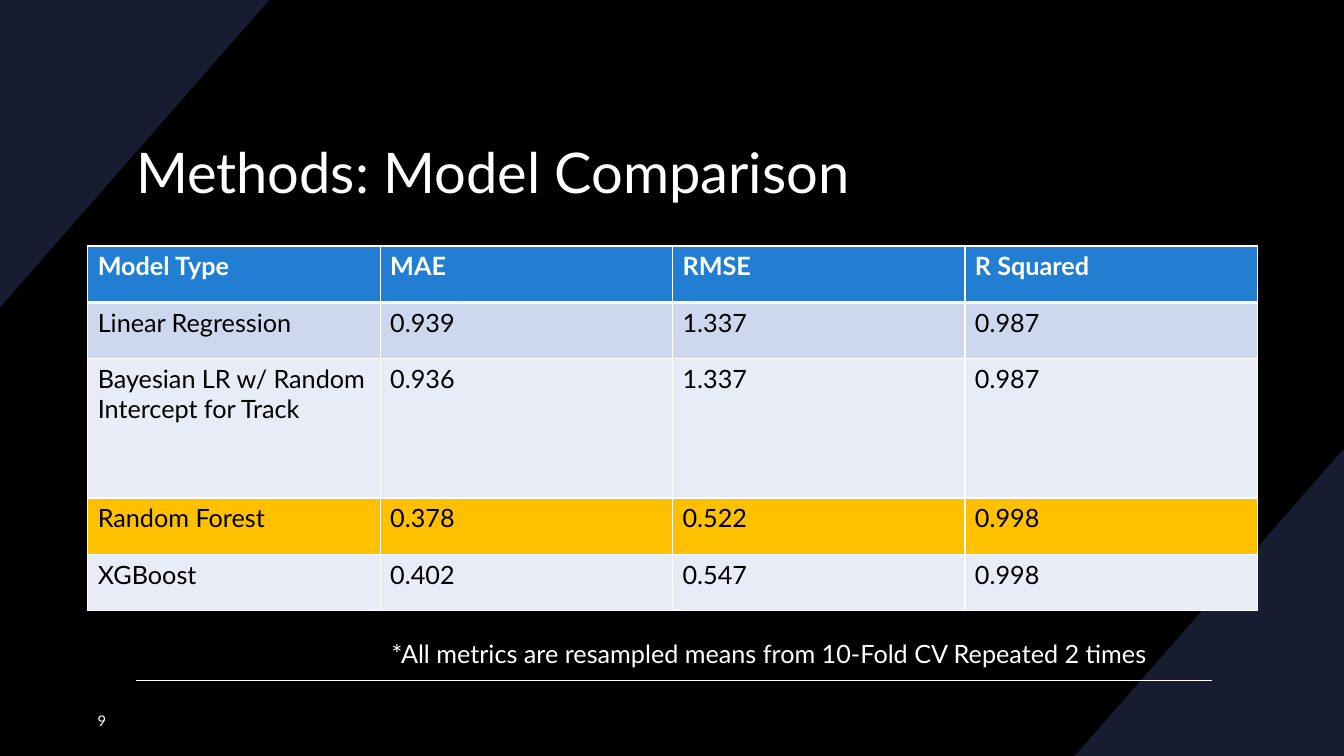
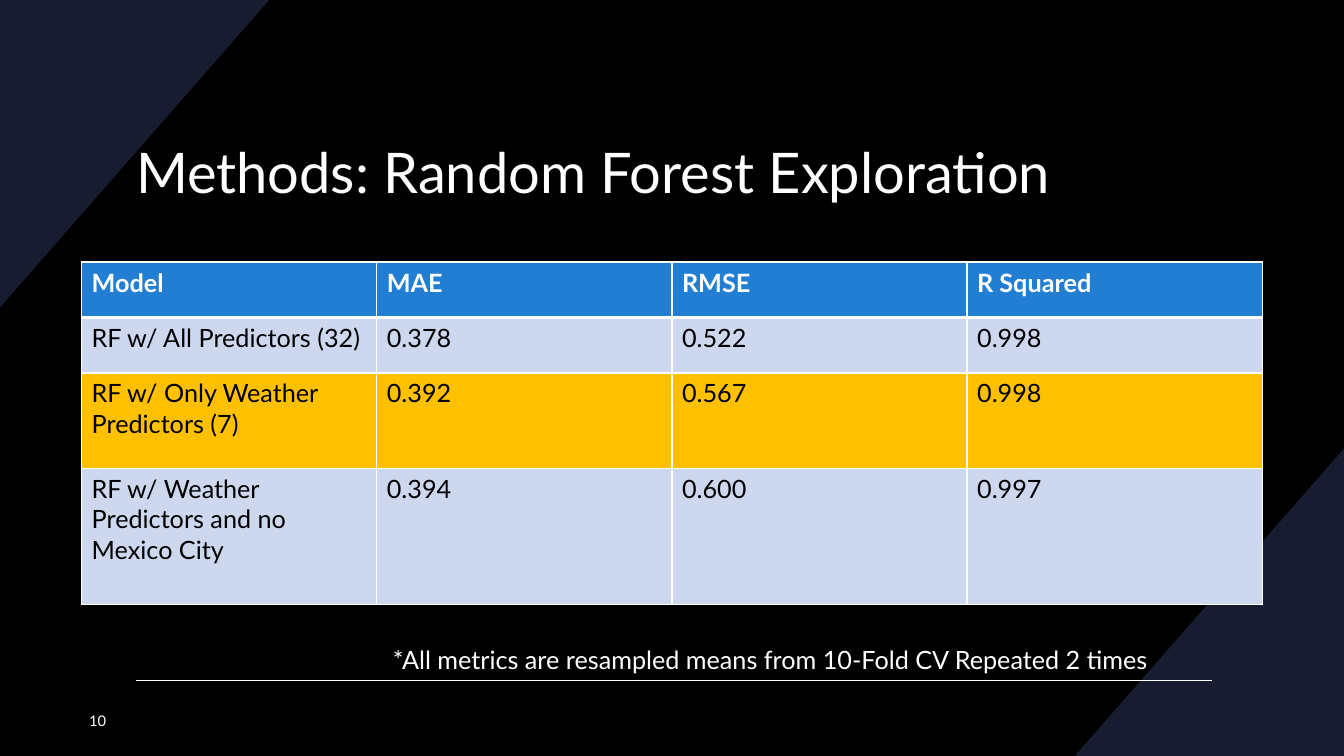
"""Build two model comparison slides with highlighted result tables."""
from dataclasses import dataclass

from lxml import etree
from pptx import Presentation
from pptx.dml.color import RGBColor
from pptx.enum.shapes import MSO_CONNECTOR
from pptx.enum.text import MSO_ANCHOR as Anchor, MSO_AUTO_SIZE as AutoSize, PP_ALIGN as Align
from pptx.oxml.ns import qn
from pptx.util import Inches, Pt


@dataclass(frozen=True)
class Theme:
    font: str = "Lato"
    background: str = "000000"
    corner: str = "181C30"
    light_text: str = "FFFFFF"
    dark_text: str = "000000"
    rule: str = "FFFFFF"
    header: str = "217ED3"
    band_odd: str = "CDD8EF"
    band_even: str = "E8ECF7"
    highlight: str = "FFC000"
    title_size: float = 40
    body_size: float = 18
    number_size: float = 10.5


@dataclass(frozen=True)
class Box:
    left: float
    top: float
    width: float
    height: float

    def emu(self) -> tuple:
        return tuple(Inches(v) for v in (self.left, self.top, self.width, self.height))


@dataclass(frozen=True)
class ResultSlide:
    title: str
    number: int
    table: Box
    row_heights: tuple
    rows: tuple
    best_row: int
    note: Box


THEME = Theme()
WIDTH, HEIGHT = 13.33, 7.5
CORNER_W, CORNER_H = 2.67, 3.05
TITLE_BOX = Box(1.25, 0.95, 10.83, 1.49)
NUMBER_BOX = Box(0.47, 6.95, 0.68, 0.4)
NOTE = "*All metrics are resampled means from 10-Fold CV Repeated 2 times"
METRICS = ("MAE", "RMSE", "R Squared")

SLIDES = (
    ResultSlide(
        title="Methods: Model Comparison",
        number=9,
        table=Box(0.87, 2.44, 11.6, 3.62),
        row_heights=(0.56, 0.56, 1.38, 0.56, 0.56),
        rows=(
            ("Model Type", *METRICS),
            ("Linear Regression", "0.939", "1.337", "0.987"),
            ("Bayesian LR w/ Random Intercept for Track", "0.936", "1.337", "0.987"),
            ("Random Forest", "0.378", "0.522", "0.998"),
            ("XGBoost", "0.402", "0.547", "0.998"),
        ),
        best_row=3,
        note=Box(2.81, 6.28, 8.66, 0.4),
    ),
    ResultSlide(
        title="Methods: Random Forest Exploration",
        number=10,
        table=Box(0.81, 2.6, 11.71, 3.4),
        row_heights=(0.55, 0.55, 0.95, 1.35),
        rows=(
            ("Model", *METRICS),
            ("RF w/ All Predictors (32)", "0.378", "0.522", "0.998"),
            ("RF w/ Only Weather Predictors (7)", "0.392", "0.567", "0.998"),
            ("RF w/ Weather Predictors and no Mexico City", "0.394", "0.600", "0.997"),
        ),
        best_row=2,
        note=Box(2.94, 6.34, 8.54, 0.4),
    ),
)


def rgb(color: str) -> RGBColor:
    return RGBColor.from_string(color)


def write(tf, text: str, size: float, color: str, align=Align.LEFT, bold: bool = False) -> None:
    p = tf.paragraphs[0]
    p.alignment = align
    r = p.add_run()
    r.text = text
    r.font.name = THEME.font
    r.font.size = Pt(size)
    r.font.bold = bold
    r.font.color.rgb = rgb(color)


def add_corner(slide, points: tuple):
    start, *rest = [(Inches(x), Inches(y)) for x, y in points]
    builder = slide.shapes.build_freeform(*start)
    builder.add_line_segments(rest, close=True)
    sp = builder.convert_to_shape()
    sp.shadow.inherit = False
    sp.fill.solid()
    sp.fill.fore_color.rgb = rgb(THEME.corner)
    sp.line.fill.background()
    return sp


def add_rule(slide):
    line = slide.shapes.add_connector(
        MSO_CONNECTOR.STRAIGHT, Inches(1.35), Inches(6.75), Inches(12.02), Inches(6.75))
    line.line.color.rgb = rgb(THEME.rule)
    line.line.width = Pt(1)
    etree.SubElement(line.element.spPr, qn("a:effectLst"))
    return line


def decorate_layout(layout, slide) -> None:
    """Draw the shared decoration on a slide and move it to its layout."""
    layout.background.fill.solid()
    layout.background.fill.fore_color.rgb = rgb(THEME.background)
    decoration = (
        add_corner(slide, ((WIDTH, HEIGHT - CORNER_H), (WIDTH, HEIGHT), (WIDTH - CORNER_W, HEIGHT))),
        add_corner(slide, ((0, CORNER_H), (0, 0), (CORNER_W, 0))),
        add_rule(slide),
    )
    for sp in decoration:
        layout.shapes.element.append(sp.element)


def format_title(slide, text: str) -> None:
    title = slide.shapes.title
    title.left, title.top, title.width, title.height = TITLE_BOX.emu()
    tf = title.text_frame
    tf.word_wrap = True
    tf.auto_size = AutoSize.NONE
    tf.vertical_anchor = Anchor.MIDDLE
    write(tf, text, THEME.title_size, THEME.light_text)


def add_right_text(slide, box: Box, text: str, size: float, anchor=Anchor.TOP) -> None:
    tf = slide.shapes.add_textbox(*box.emu()).text_frame
    tf.word_wrap = True
    tf.vertical_anchor = anchor
    write(tf, text, size, THEME.light_text, Align.RIGHT)


def set_borders(cell, top: float, bottom: float) -> None:
    tc_pr = cell._tc.get_or_add_tcPr()
    widths = {"a:lnL": 1, "a:lnR": 1, "a:lnT": top, "a:lnB": bottom}
    for i, (tag, width) in enumerate(widths.items()):
        ln = etree.Element(qn(tag), w=str(Pt(width)))
        fill = etree.SubElement(ln, qn("a:solidFill"))
        etree.SubElement(fill, qn("a:srgbClr"), val=THEME.rule)
        tc_pr.insert(i, ln)


def row_color(row: int, best_row: int) -> str:
    if row == 0:
        return THEME.header
    if row == best_row:
        return THEME.highlight
    return THEME.band_odd if row % 2 else THEME.band_even


def add_results(slide, data: ResultSlide) -> None:
    n_cols = len(data.rows[0])
    table = slide.shapes.add_table(len(data.rows), n_cols, *data.table.emu()).table
    for col in table.columns:
        col.width = Inches(data.table.width / n_cols)
    for i, (values, height) in enumerate(zip(data.rows, data.row_heights)):
        table.rows[i].height = Inches(height)
        is_header = i == 0
        color = THEME.light_text if is_header else THEME.dark_text
        for j, value in enumerate(values):
            cell = table.cell(i, j)
            cell.fill.solid()
            cell.fill.fore_color.rgb = rgb(row_color(i, data.best_row))
            set_borders(cell, top=3 if i == 1 else 1, bottom=3 if is_header else 1)
            write(cell.text_frame, value, THEME.body_size, color, bold=is_header)


def add_result_slide(prs, layout, data: ResultSlide):
    slide = prs.slides.add_slide(layout)
    format_title(slide, data.title)
    add_results(slide, data)
    add_right_text(slide, NUMBER_BOX, str(data.number), THEME.number_size, Anchor.MIDDLE)
    add_right_text(slide, data.note, NOTE, THEME.body_size)
    return slide


def main() -> None:
    prs = Presentation()
    prs.slide_width, prs.slide_height = Inches(WIDTH), Inches(HEIGHT)
    layout = prs.slide_layouts.get_by_name("Title Only")
    slides = [add_result_slide(prs, layout, data) for data in SLIDES]
    decorate_layout(layout, slides[0])
    prs.save("out.pptx")


if __name__ == "__main__":
    main()
